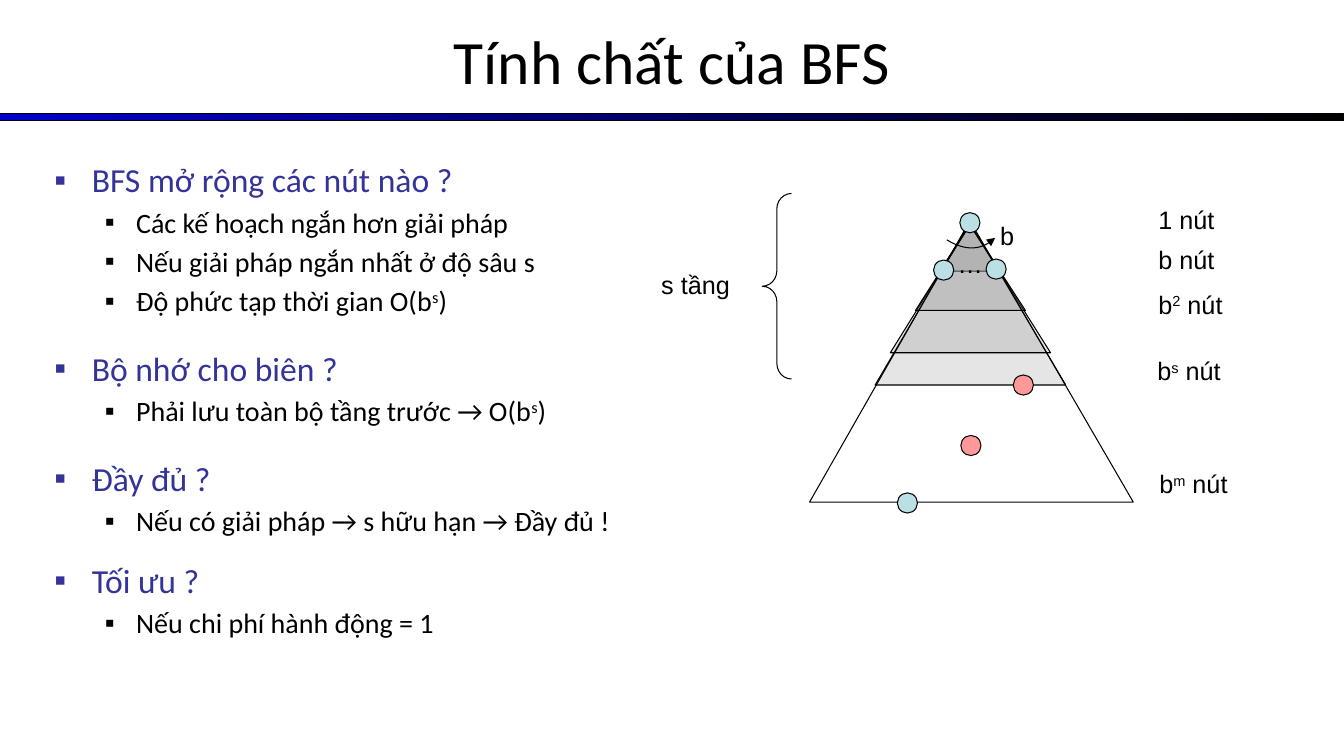
from dataclasses import dataclass

from lxml.etree import SubElement
from pptx import Presentation
from pptx.dml.color import RGBColor
from pptx.enum.shapes import MSO_SHAPE
from pptx.enum.text import MSO_ANCHOR, MSO_AUTO_SIZE, PP_ALIGN
from pptx.oxml.ns import qn
from pptx.util import Inches, Pt


@dataclass(frozen=True)
class Theme:
    ink: str = "000000"
    heading: str = "333399"
    bar_start: str = "0000CC"
    layer: str = "808080"
    node: str = "BBE0E3"
    goal: str = "FF9999"
    body_font: str = "Calibri"
    label_font: str = "Arial"
    title_size: int = 44
    heading_size: int = 24
    point_size: int = 20
    label_size: int = 18
    line_width: float = 0.75


THEME = Theme()
NODE_SIZE = 0.2

OUTLINE = [
    ("BFS mở rộng các nút nào ?", 0, [
        "Các kế hoạch ngắn hơn giải pháp",
        "Nếu giải pháp ngắn nhất ở độ sâu s",
        "Độ phức tạp thời gian O(b^s^)",
    ]),
    ("Bộ nhớ cho biên ?", 21.8, ["Phải lưu toàn bộ tầng trước → O(b^s^)"]),
    ("Đầy đủ ?", 21.8, ["Nếu có giải pháp → s hữu hạn → Đầy đủ !"]),
    ("Tối ưu ?", 16.2, ["Nếu chi phí hành động = 1"]),
]
LAYERS = [
    (2.23, 9.32, 9.92, 2.69),
    (2.21, 8.68, 10.57, 3.82),
    (2.23, 8.83, 10.42, 3.5),
    (2.23, 9.08, 10.17, 3.08),
]
NODES = [
    (9.52, 2.11, THEME.node),
    (9.26, 2.58, THEME.node),
    (9.78, 2.57, THEME.node),
    (8.9, 4.89, THEME.node),
    (10.05, 3.72, THEME.goal),
    (9.53, 4.32, THEME.goal),
]
LABELS = [
    ("…", 9.4, 2.41, 0.3),
    ("b", 9.82, 2.14, 0.33),
    ("1 nút", 11.39, 1.98, 1.22),
    ("b nút", 11.39, 2.37, 1.22),
    ("b^2^ nút", 11.39, 2.82, 1.22),
    ("b^s^ nút", 11.38, 3.48, 1.6),
    ("b^m^ nút", 11.4, 4.6, 1.6),
    ("s tầng", 6.46, 2.62, 1.38),
]


def write(paragraph, text, *, size, font, color=THEME.ink, align=PP_ALIGN.LEFT, before=0):
    paragraph.alignment = align
    paragraph.space_before = Pt(before)
    for position, part in enumerate(text.split("^")):
        run = paragraph.add_run()
        run.text = part
        run.font.size = Pt(size)
        run.font.name = font
        run.font.color.rgb = RGBColor.from_string(color)
        if position % 2:
            run.font._element.set("baseline", "30000")


def add_bullet(paragraph, *, margin, hanging, color):
    properties = paragraph._p.get_or_add_pPr()
    properties.set("marL", str(Inches(margin)))
    properties.set("indent", str(-Inches(hanging)))
    bullet_color = SubElement(properties, qn("a:buClr"))
    SubElement(bullet_color, qn("a:srgbClr"), val=color)
    SubElement(properties, qn("a:buFont"), typeface=THEME.label_font)
    SubElement(properties, qn("a:buChar"), char="▪")


def place(placeholder, left, top, width, height):
    placeholder.left, placeholder.top = Inches(left), Inches(top)
    placeholder.width, placeholder.height = Inches(width), Inches(height)


def finish(shape, fill=None, opacity=None):
    shape.shadow.inherit = False
    shape.line.color.rgb = RGBColor.from_string(THEME.ink)
    shape.line.width = Pt(THEME.line_width)
    if fill is None:
        shape.fill.background()
        return
    shape.fill.solid()
    shape.fill.fore_color.rgb = RGBColor.from_string(fill)
    if opacity is not None:
        color = shape._element.spPr.find(qn("a:solidFill")).find(qn("a:srgbClr"))
        SubElement(color, qn("a:alpha"), val=str(opacity * 1000))


def add_preset(slide, preset, left, top, width, height, fill=None):
    shape = slide.shapes.add_shape(
        preset, Inches(left), Inches(top), Inches(width), Inches(height))
    finish(shape, fill)
    return shape


def add_outline(slide, points, close=True, fill=None, opacity=None):
    start, *rest = [(Inches(x), Inches(y)) for x, y in points]
    builder = slide.shapes.build_freeform(*start)
    builder.add_line_segments(rest, close=close)
    outline = builder.convert_to_shape()
    finish(outline, fill, opacity)
    return outline


def add_triangle(slide, apex_y, left, right, base_y, **fill):
    add_outline(slide, [(9.62, apex_y), (left, base_y), (right, base_y)], **fill)


def add_branch_arrow(slide):
    start, control, end = (9.39, 2.38), (9.67, 2.55), (9.87, 2.36)
    steps = 16
    curve = []
    for step in range(steps + 1):
        t = step / steps
        curve.append([(1 - t) ** 2 * a + 2 * t * (1 - t) * b + t ** 2 * c
                      for a, b, c in zip(start, control, end)])
    arrow = add_outline(slide, curve, close=False)
    SubElement(arrow.line._get_or_add_ln(), qn("a:tailEnd"), type="triangle")


def add_label(slide, text, left, top, width):
    label = slide.shapes.add_textbox(Inches(left), Inches(top), Inches(width), Inches(0.4))
    label.text_frame.word_wrap = True
    write(label.text_frame.paragraphs[0], text,
          size=THEME.label_size, font=THEME.label_font)


def add_header(slide):
    bar = add_preset(slide, MSO_SHAPE.RECTANGLE, 0, 1.13, 13.33, 0.07)
    bar.fill.gradient()
    bar.fill.gradient_angle = 0
    for stop, color in zip(bar.fill.gradient_stops, (THEME.bar_start, THEME.ink)):
        stop.color.rgb = RGBColor.from_string(color)
    title = slide.shapes.title
    place(title, 0, -0.03, 13.33, 1.25)
    title.text_frame.vertical_anchor = MSO_ANCHOR.MIDDLE
    title.text_frame.auto_size = MSO_AUTO_SIZE.NONE
    write(title.text_frame.paragraphs[0], "Tính chất của BFS", size=THEME.title_size,
          font=THEME.body_font, align=PP_ALIGN.CENTER)


def fill_body(body):
    place(body, 0.44, 1.53, 6.22, 5.17)
    frame = body.text_frame
    frame.auto_size = MSO_AUTO_SIZE.NONE
    for index, (question, gap, answers) in enumerate(OUTLINE):
        heading = frame.add_paragraph() if index else frame.paragraphs[0]
        add_bullet(heading, margin=0.37, hanging=0.37, color=THEME.heading)
        write(heading, question, size=THEME.heading_size, font=THEME.body_font,
              color=THEME.heading, before=gap)
        for answer in answers:
            point = frame.add_paragraph()
            point.level = 1
            add_bullet(point, margin=0.81, hanging=0.31, color=THEME.ink)
            write(point, answer, size=THEME.point_size, font=THEME.body_font, before=4)


def add_search_tree(slide):
    for layer in LAYERS:
        add_triangle(slide, *layer, fill=THEME.layer, opacity=20)
    add_triangle(slide, 2.19, 8.03, 11.24, 4.98)
    for left, top, color in NODES:
        add_preset(slide, MSO_SHAPE.OVAL, left, top, NODE_SIZE, NODE_SIZE, color)
    add_branch_arrow(slide)
    brace = add_preset(slide, MSO_SHAPE.LEFT_BRACE, 7.56, 1.92, 0.29, 1.84)
    brace.adjustments[0] = 0.53
    for label in LABELS:
        add_label(slide, *label)


def main():
    deck = Presentation()
    deck.slide_width, deck.slide_height = Inches(13.33), Inches(7.5)
    slide = deck.slides.add_slide(deck.slide_layouts[1])
    add_header(slide)
    fill_body(slide.placeholders[1])
    add_search_tree(slide)
    deck.save("out.pptx")


if __name__ == "__main__":
    main()
